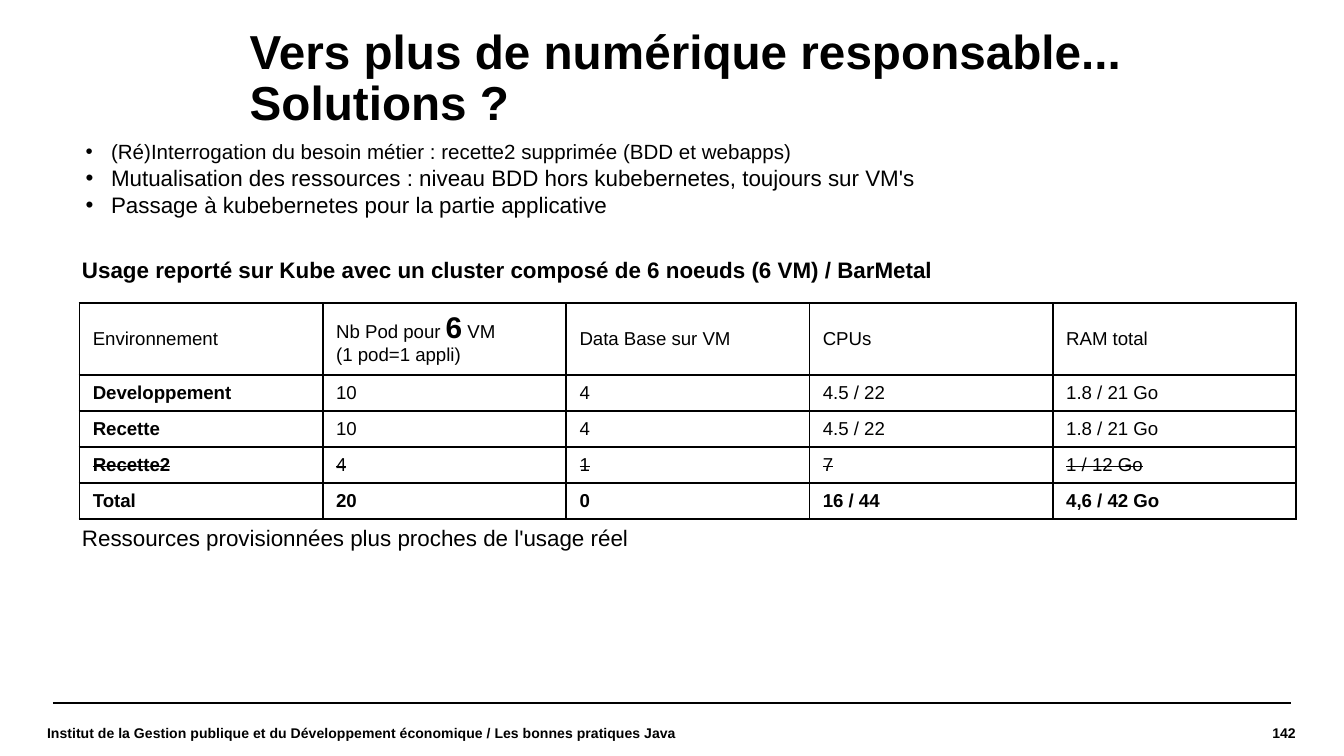
"""Builds a slide on responsible computing: actions, a usage table and a conclusion."""
import lxml.etree
import pptx
import pptx.dml.color
import pptx.enum.shapes
import pptx.enum.text
import pptx.oxml.ns
import pptx.util

Cm = pptx.util.Cm
Pt = pptx.util.Pt
qn = pptx.oxml.ns.qn
ALIGN = pptx.enum.text.PP_ALIGN
ANCHOR = pptx.enum.text.MSO_ANCHOR

FONT = "Arial"
COLOURS = {"ink": "000000", "paper": "FFFFFF"}
ACTIONS = [
    ("(Ré)Interrogation du besoin métier : recette2 supprimée (BDD et webapps)", 11),
    ("Mutualisation des ressources : niveau BDD hors kubebernetes, toujours sur VM's", 12),
    ("Passage à kubebernetes pour la partie applicative", 12),
]
HEADINGS = ["Environnement", "", "Data Base sur VM", "CPUs", "RAM total"]
USAGE = [
    ["Developpement", "10", "4", "4.5 / 22", "1.8 / 21 Go"],
    ["Recette", "10", "4", "4.5 / 22", "1.8 / 21 Go"],
    ["Recette2", "4", "1", "7", "1 / 12 Go"],
    ["Total", "20", "0", "16 / 44", "4,6 / 42 Go"],
]


def colour(name):
    return pptx.dml.color.RGBColor.from_string(COLOURS[name])


def add_span(para, text, size, bold=False, strike=False):
    span = para.add_run()
    span.text = text
    span.font.name = FONT
    span.font.size = Pt(size)
    span.font.bold = bold
    span.font.color.rgb = colour("ink")
    if strike:
        span.font._element.set("strike", "sngStrike")


def add_text(page, left, top, width, height, text, size, bold=True, inset=True,
             align=ALIGN.LEFT, anchor=ANCHOR.TOP):
    box = page.shapes.add_textbox(Cm(left), Cm(top), Cm(width), Cm(height))
    frame = box.text_frame
    frame.word_wrap = True
    frame.vertical_anchor = anchor
    if not inset:
        frame.margin_left = frame.margin_right = 0
        frame.margin_top = frame.margin_bottom = 0
    para = frame.paragraphs[0]
    para.alignment = align
    add_span(para, text, size, bold)
    return para


def add_bullet(para):
    properties = para._p.get_or_add_pPr()
    properties.set("marL", str(Cm(0.48)))
    properties.set("indent", str(-Cm(0.48)))
    tint = lxml.etree.SubElement(properties, qn("a:buClr"))
    lxml.etree.SubElement(tint, qn("a:srgbClr"), val=COLOURS["ink"])
    lxml.etree.SubElement(properties, qn("a:buFont"), typeface=FONT)
    lxml.etree.SubElement(properties, qn("a:buChar"), char="•")


def add_actions(page):
    box = page.shapes.add_shape(pptx.enum.shapes.MSO_SHAPE.RECTANGLE,
                                Cm(1.37), Cm(2.51), Cm(21.41), Cm(2.21))
    box.shadow.inherit = False
    box.fill.background()
    box.line.color.rgb = colour("paper")
    box.line.width = 0
    frame = box.text_frame
    frame.word_wrap = True
    frame.vertical_anchor = ANCHOR.TOP
    for index, (text, size) in enumerate(ACTIONS):
        para = frame.add_paragraph() if index else frame.paragraphs[0]
        add_bullet(para)
        para.alignment = ALIGN.LEFT
        add_span(para, text, size)


def style_cell(cell):
    cell.vertical_anchor = ANCHOR.MIDDLE
    properties = cell._tc.get_or_add_tcPr()
    for side in "LRTB":
        border = lxml.etree.SubElement(properties, qn(f"a:ln{side}"), w=str(Pt(0.96)))
        fill = lxml.etree.SubElement(border, qn("a:solidFill"))
        lxml.etree.SubElement(fill, qn("a:srgbClr"), val=COLOURS["ink"])
    cell.fill.background()


def add_usage_table(page):
    rows = [HEADINGS] + USAGE
    table = page.shapes.add_table(len(rows), len(HEADINGS), Cm(1.5), Cm(5.72),
                                  Cm(23), Cm(4.08)).table
    table.first_row = table.horz_banding = False
    for column in table.columns:
        column.width = Cm(4.6)
    for row_index, values in enumerate(rows):
        table.rows[row_index].height = Cm(0.68 if row_index else 1.36)
        for column_index, text in enumerate(values):
            cell = table.cell(row_index, column_index)
            style_cell(cell)
            if text:
                bold = values[0] == "Total" or (row_index > 0 and column_index == 0)
                add_span(cell.text_frame.paragraphs[0], text, 10, bold,
                         values[0] == "Recette2")
    pods = table.cell(0, 1).text_frame
    for text, size, bold in [("Nb Pod pour ", 10, False), ("6", 16, True), (" VM", 10, False)]:
        add_span(pods.paragraphs[0], text, size, bold)
    add_span(pods.add_paragraph(), "(1 pod=1 appli)", 10)


def add_footer(page):
    rule = page.shapes.add_connector(pptx.enum.shapes.MSO_CONNECTOR.STRAIGHT,
                                     Cm(1), Cm(13.28), Cm(24.4), Cm(13.28))
    rule.line.color.rgb = colour("ink")
    rule.line.width = Pt(0.8)
    lxml.etree.SubElement(rule._element.spPr, qn("a:effectLst"))
    add_text(page, 20.75, 13.34, 3.74, 0.99, "142", 7.5, inset=False,
             align=ALIGN.RIGHT, anchor=ANCHOR.MIDDLE)
    add_text(page, 0.89, 13.34, 12.29, 0.99,
             "Institut de la Gestion publique et du Développement économique"
             " / Les bonnes pratiques Java", 7.5, inset=False, anchor=ANCHOR.MIDDLE)


def main():
    deck = pptx.Presentation()
    deck.slide_width, deck.slide_height = Cm(25.4), Cm(14.28)
    page = deck.slides.add_slide(deck.slide_layouts[6])
    add_footer(page)
    title = add_text(page, 4.72, 0.53, 20.29, 1.02,
                     "Vers plus de numérique responsable... Solutions ?", 25.5, inset=False)
    title.line_spacing = 0.9
    add_actions(page)
    add_usage_table(page)
    add_text(page, 1.3, 4.72, 22.05, 1.27,
             "Usage reporté sur Kube avec un cluster composé de 6 noeuds (6 VM) / BarMetal", 12)
    add_text(page, 1.3, 9.78, 11, 0.76,
             "Ressources provisionnées plus proches de l'usage réel", 12, bold=False)
    deck.save("out.pptx")


if __name__ == "__main__":
    main()
